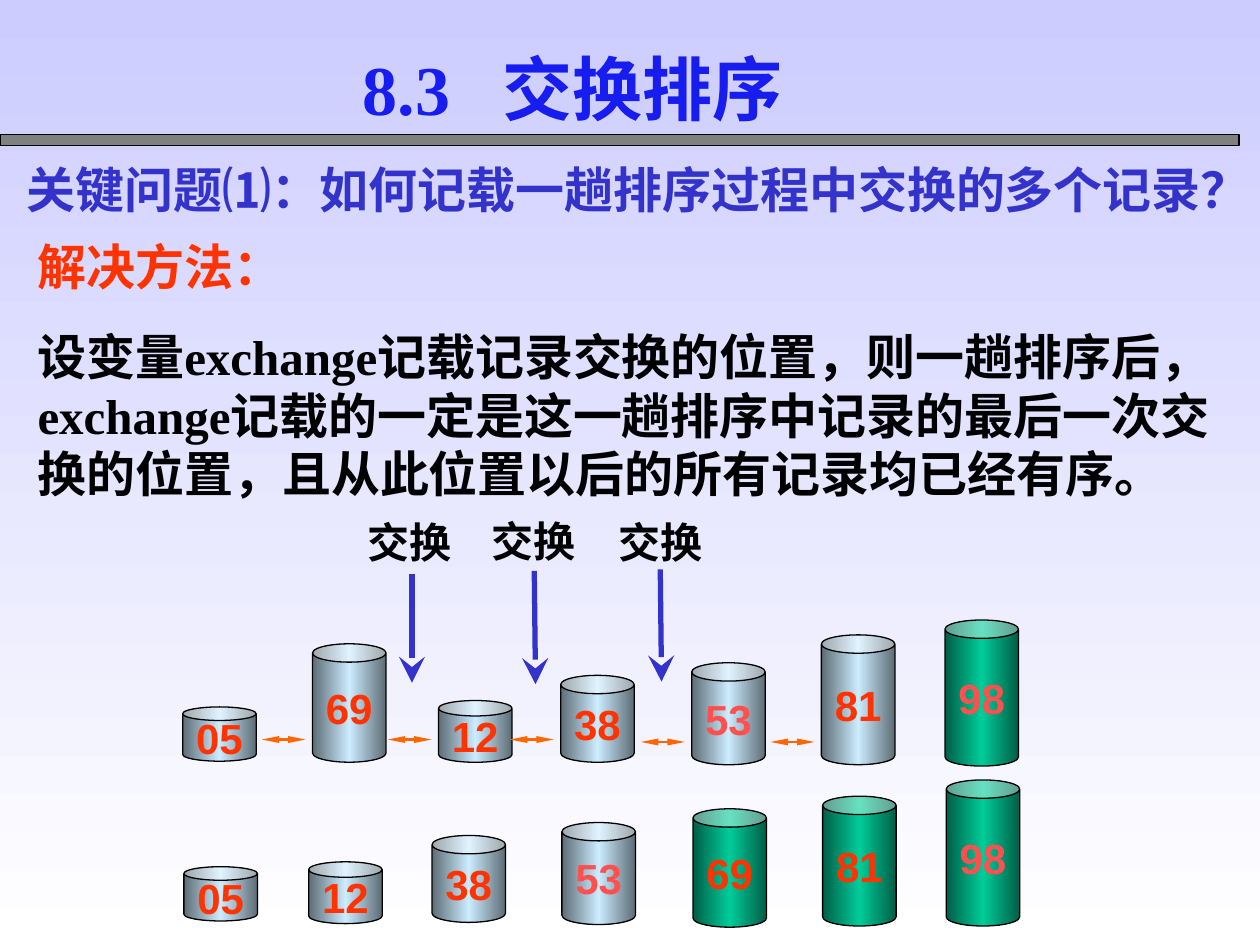
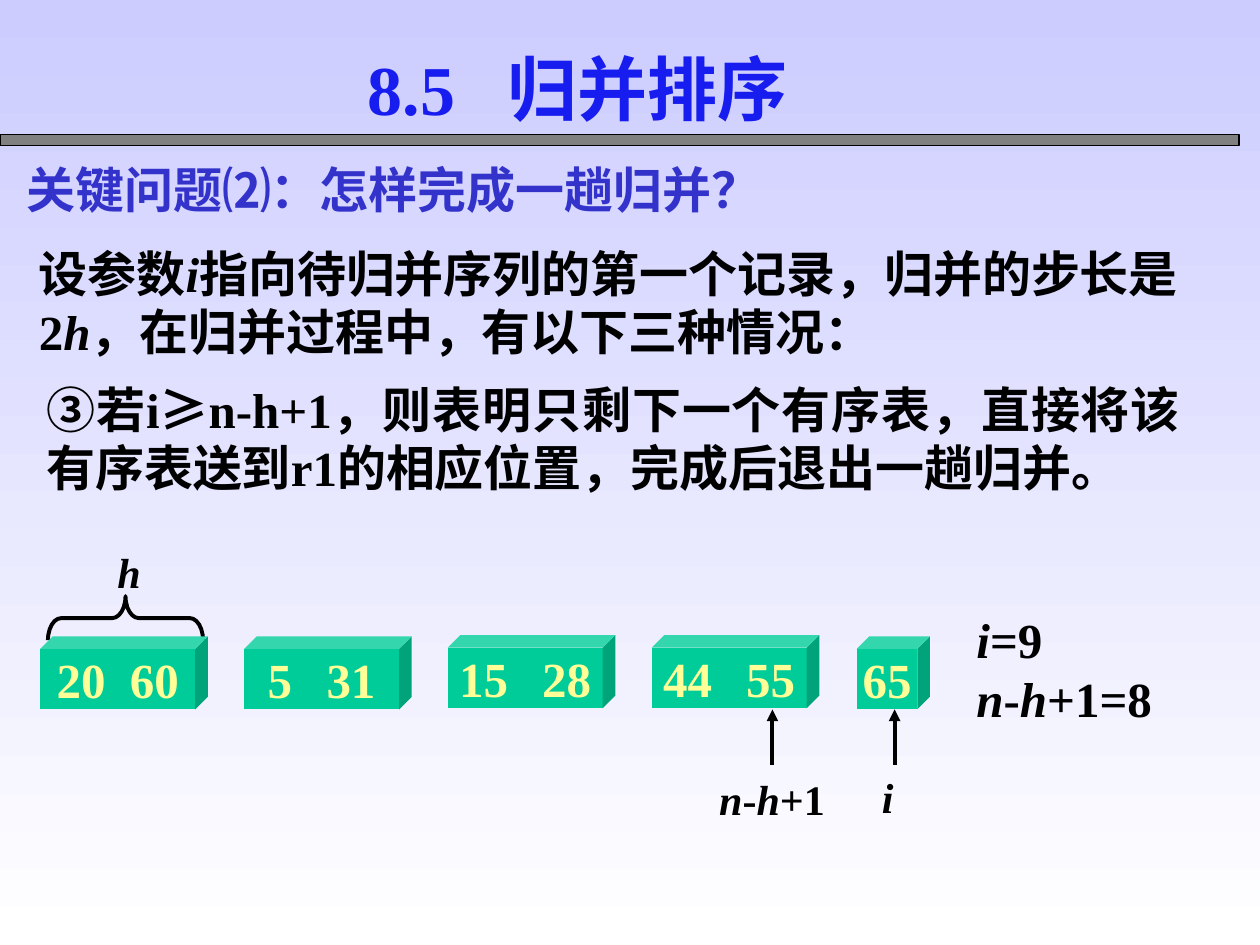
from copy import deepcopy
from typing import NamedTuple

from lxml import etree
from pptx import Presentation
from pptx import util as u
from pptx.dml.color import RGBColor
from pptx.enum import shapes, text
from pptx.oxml import ns

Pt = u.Pt
SHAPE = shapes.MSO_SHAPE

BLACK = RGBColor(0x00, 0x00, 0x00)
WHITE = RGBColor(0xFF, 0xFF, 0xFF)
LAVENDER = RGBColor(0xCC, 0xCC, 0xFF)
BAND_GRAY = RGBColor(0x80, 0x80, 0x80)
TITLE_BLUE = RGBColor(0x17, 0x1C, 0xEF)
BLUE = RGBColor(0x33, 0x33, 0xCC)
RED = RGBColor(0xFF, 0x33, 0x00)
PINK = RGBColor(0xFF, 0x50, 0x50)
ORANGE = RGBColor(0xFF, 0x66, 0x00)
GREEN = RGBColor(0x00, 0xCC, 0x99)
DARK_GREEN = RGBColor(0x00, 0x5E, 0x47)
ICE = RGBColor(0xCC, 0xEC, 0xFF)
STEEL = RGBColor(0x5E, 0x6D, 0x76)
CREAM = RGBColor(0xFF, 0xFF, 0x97)

SERIF, SANS, CJK = "Times New Roman", "Arial", "Noto Sans CJK SC"
ITALIC = {"italic": True}

CAN_WIDTH = 42
CAN_HEIGHTS = {"05": 31, "12": 35.3, "38": 49.7, "53": 58.3,
               "69": 67.7, "81": 74.2, "98": 83.5}
PINK_VALUES = {"53", "98"}

CUBE_HEIGHT, CUBE_DEPTH = 41.8, 0.173
PAIR_WIDTH, SINGLE_WIDTH = 95.8, 41.8


class Box(NamedTuple):
    left: float
    top: float
    width: float
    height: float

    def inner(self, dx, dy, width, height):
        return Box(self.left + dx, self.top + dy, width, height)

    def lengths(self):
        return [Pt(v) for v in self]


def sub(parent, tag, **attrs):
    return etree.SubElement(parent, ns.qn(tag), attrs)


def paint_gradient(fill, element, colors, angle):
    fill.gradient()
    fill.gradient_angle = angle
    stop_list = element.find(".//" + ns.qn("a:gsLst"))
    while len(stop_list) < len(colors):
        stop_list.append(deepcopy(stop_list[-1]))
    for i, (stop, color) in enumerate(zip(fill.gradient_stops, colors)):
        stop.color.rgb = color
        stop.position = i / (len(colors) - 1)


def add_text_shadow(r):
    effects = etree.Element(ns.qn("a:effectLst"))
    shadow = sub(effects, "a:outerShdw", dist="25400", dir="2700000")
    sub(shadow, "a:srgbClr", val="808080")
    r.font._element.find(ns.qn("a:solidFill")).addnext(effects)


def add_run(p, words, color, shadow, **fmt):
    r = p.add_run()
    r.text = words
    for name, value in {"bold": True, **fmt}.items():
        setattr(r.font, name, value)
    r.font.color.rgb = color
    east = etree.Element(ns.qn("a:ea"), typeface=CJK)
    r.font._element.find(ns.qn("a:latin")).addnext(east)
    if shadow:
        add_text_shadow(r)


def write(p, words, size, color=BLACK, font=SERIF, accent=ITALIC, tab=None,
          shadow=False, **layout):
    """Fill a paragraph; every second piece between asterisks takes the accent."""
    for name, value in layout.items():
        setattr(p, name, value)
    if tab:
        stop, align = tab
        tabs = sub(p._p.get_or_add_pPr(), "a:tabLst")
        sub(tabs, "a:tab", pos=str(Pt(stop)), algn=align)
    for i, words_part in enumerate(words.split("*")):
        fmt = {"name": font, "size": Pt(size), **(accent if i % 2 else {})}
        add_run(p, words_part, color, shadow, **fmt)


def set_frame(tf, **fmt):
    for name, value in fmt.items():
        setattr(tf, name, value)


def add_text(slide, box, words, size, margins=(7.2, 3.6), **style):
    tf = slide.shapes.add_textbox(*box.lengths()).text_frame
    side, end = map(Pt, margins)
    set_frame(tf, word_wrap=True, auto_size=text.MSO_AUTO_SIZE.SHAPE_TO_FIT_TEXT,
              margin_left=side, margin_right=side, margin_top=end, margin_bottom=end)
    write(tf.paragraphs[0], words, size, **style)
    return tf


def add_shape(slide, kind, box, line=BLACK, weight=0.75):
    sp = slide.shapes.add_shape(kind, *box.lengths())
    sp.shadow.inherit = False
    if line is None:
        sp.line.fill.background()
    else:
        sp.line.color.rgb = line
        sp.line.width = Pt(weight)
    return sp


def add_arrow(slide, start, end, color, weight, size=("med", "med"), both=False):
    line = slide.shapes.add_connector(shapes.MSO_CONNECTOR.STRAIGHT,
                                      *map(Pt, (*start, *end)))
    line.line.color.rgb = color
    line.line.width = Pt(weight)
    ln = line.line._get_or_add_ln()
    head = "stealth" if color == BLUE else "triangle"
    for tag in ["a:headEnd", "a:tailEnd"] if both else ["a:tailEnd"]:
        sub(ln, tag, type=head, w=size[0], len=size[1])
    sub(line._element.spPr, "a:effectLst")


def new_slide(prs, title, title_left, heading, heading_width, accent=ITALIC):
    slide = prs.slides.add_slide(prs.slide_layouts[6])
    paint_gradient(slide.background.fill, slide._element, (LAVENDER, WHITE), 270)
    band = add_shape(slide, SHAPE.RECTANGLE, Box(0, 77, 708, 6))
    band.fill.solid()
    band.fill.fore_color.rgb = BAND_GRAY
    add_text(slide, Box(title_left, 22.3, 285, 55.4), title, 40, color=TITLE_BLUE,
             tab=(80, "l"), shadow=True)
    add_text(slide, Box(8, 87.8, heading_width, 41), heading, 28, color=BLUE,
             font=CJK, accent=accent)
    return slide


def add_can(slide, box, value, is_sorted):
    can = add_shape(slide, SHAPE.CAN, box)
    edge, middle = (DARK_GREEN, GREEN) if is_sorted else (STEEL, ICE)
    paint_gradient(can.fill, can._element, (edge, middle, edge), 0)
    tf = can.text_frame
    set_frame(tf, word_wrap=False, vertical_anchor=text.MSO_ANCHOR.MIDDLE)
    write(tf.paragraphs[0], value, 24, color=PINK if value in PINK_VALUES else RED,
          font=SANS, alignment=text.PP_ALIGN.CENTER)


def can_row(slide, box, cans, sorted_count, compared=0):
    """Stand cans (value, offset, drop) on the box's bottom edge.

    The first `compared` gaps between cans get a double arrow.
    """
    first_sorted = len(cans) - sorted_count
    floor = box.height
    for i, (value, dx, drop) in enumerate(cans):
        height = CAN_HEIGHTS[value]
        add_can(slide, box.inner(dx, floor + drop - height, CAN_WIDTH, height),
                value, i >= first_sorted)
        if 0 < i <= compared:
            end, y = box.left + dx - 4, box.top + floor + drop - 13
            add_arrow(slide, (end - 25, y), (end, y), ORANGE, 1.5,
                      ("sm", "lg"), both=True)


def swap_marks(slide, box):
    marks = [(0, 0.6, 32.4, 32.4, 37.3, 99.2),
             (70.6, 0, 102.3, 103, 35.2, 100),
             (143.3, 0.6, 174.3, 175, 34.4, 98.5)]
    for dx, dy, x1, x2, y1, y2 in marks:
        add_text(slide, box.inner(dx, dy, 85, 36), "交换", 24, font=SANS)
        add_arrow(slide, (box.left + x1, box.top + y1),
                  (box.left + x2, box.top + y2), BLUE, 3, ("lg", "lg"))


def exchange_slide(prs):
    slide = new_slide(prs, "8.3\t交换排序", 200.2,
                      "关键问题⑴：如何记载一趟排序过程中交换的多个记录？", 726.5)
    tf = add_text(slide, Box(14.4, 131.8, 705.6, 159), "解决方法：", 28, color=RED)
    write(tf.add_paragraph(),
          "设变量exchange记载记录交换的位置，则一趟排序后，exchange记载的一定是"
          "这一趟排序中记录的最后一次交换的位置，且从此位置以后的所有记录均已经有序。",
          28, space_before=Pt(17.5))
    swap_marks(slide, Box(203, 291, 230, 100))
    before = [("05", 0, 0), ("69", 74.2, 0.6), ("12", 146.2, 0.6), ("38", 216, 0.6),
              ("53", 290.9, 2), ("81", 365, 2), ("98", 435.6, 2.8)]
    after = [("05", 0, 0), ("12", 71.3, 1.5), ("38", 141.8, 0.8), ("53", 216, 2),
             ("69", 290.9, 3.6), ("81", 365, 2.9), ("98", 435.6, 2.9)]
    can_row(slide, Box(104.4, 351, 478, 84), before, 1, compared=5)
    can_row(slide, Box(105.1, 442.3, 478, 84), after, 3)


def add_cube(slide, box, words, inset):
    cube = add_shape(slide, SHAPE.CUBE, box, line=None)
    cube.adjustments[0] = CUBE_DEPTH
    cube.fill.solid()
    cube.fill.fore_color.rgb = GREEN
    front = box.width - CUBE_DEPTH * box.height
    tf = cube.text_frame
    set_frame(tf, word_wrap=True, vertical_anchor=text.MSO_ANCHOR.MIDDLE,
              margin_left=Pt(inset), margin_right=0)
    write(tf.paragraphs[0], words, 28, color=CREAM, tab=(front - 2 * inset, "r"),
          alignment=text.PP_ALIGN.LEFT)


def length_brace(slide, box):
    """Draw an upward brace over the box, with its label."""
    upright = box.inner((box.width - box.height) / 2, (box.height - box.width) / 2,
                        box.height, box.width)
    brace = add_shape(slide, SHAPE.LEFT_BRACE, upright, weight=2.25)
    brace.fill.background()
    brace.rotation = 90
    brace.adjustments[0] = 0.3
    add_text(slide, box.inner(39.6, -28.1, 21, 29), "*h", 24, margins=(0, 0))


def merge_runs(slide, box):
    length_brace(slide, box.inner(4.4, -22.3, 88.6, 25.2))
    runs = [("20\t60", 0, 0.7, 9.4), ("5\t31", 116.5, 0.7, 13.5),
            ("15\t28", 232.8, 0, 6.6), ("44\t55", 349.4, 0, 6.6),
            ("65", 466.6, 0.7, 3.3)]
    for words, dx, dy, inset in runs:
        width = PAIR_WIDTH if "\t" in words else SINGLE_WIDTH
        add_cube(slide, box.inner(dx, dy, width, CUBE_HEIGHT), words, inset)
    pointers = [("*n*-*h*+1", 418.4, 388, 79.2, 81.4), ("*i", 488.2, 481, 77.8, 14.4)]
    for words, arrow_x, label_x, label_y, width in pointers:
        x = box.left + arrow_x
        add_arrow(slide, (x, box.top + 74.1), (x, box.top + 42.5), BLACK, 2.25)
        add_text(slide, box.inner(label_x, label_y, width, 29), words, 24,
                 margins=(0, 0))
    tf = add_text(slide, box.inner(535, -14.4, 134.6, 67), "*i*=9", 28, margins=(0, 0))
    write(tf.add_paragraph(), "*n*-*h*+1=8", 28)


def merge_slide(prs):
    slide = new_slide(prs, "8.5\t归并排序", 203, "关键问题⑵：*怎样完成一趟归并？",
                      692, accent={"name": SANS})
    add_text(slide, Box(15.1, 135.4, 685.4, 75),
             "设参数*i*指向待归并序列的第一个记录，归并的步长是2*h*，"
             "在归并过程中，有以下三种情况：", 28)
    add_text(slide, Box(19.4, 213.1, 662.4, 75),
             "③*若*i*≥*n-h+1*，则表明只剩下一个有序表，直接将该有序表送到*r1*"
             "的相应位置，完成后退出一趟归并。", 28, accent={"name": CJK},
             alignment=text.PP_ALIGN.JUSTIFY)
    merge_runs(slide, Box(23, 362.9, 670, 110))


def main():
    prs = Presentation()
    prs.slide_width, prs.slide_height = Pt(720), Pt(540)
    exchange_slide(prs)
    merge_slide(prs)
    prs.save("out.pptx")


if __name__ == "__main__":
    main()
